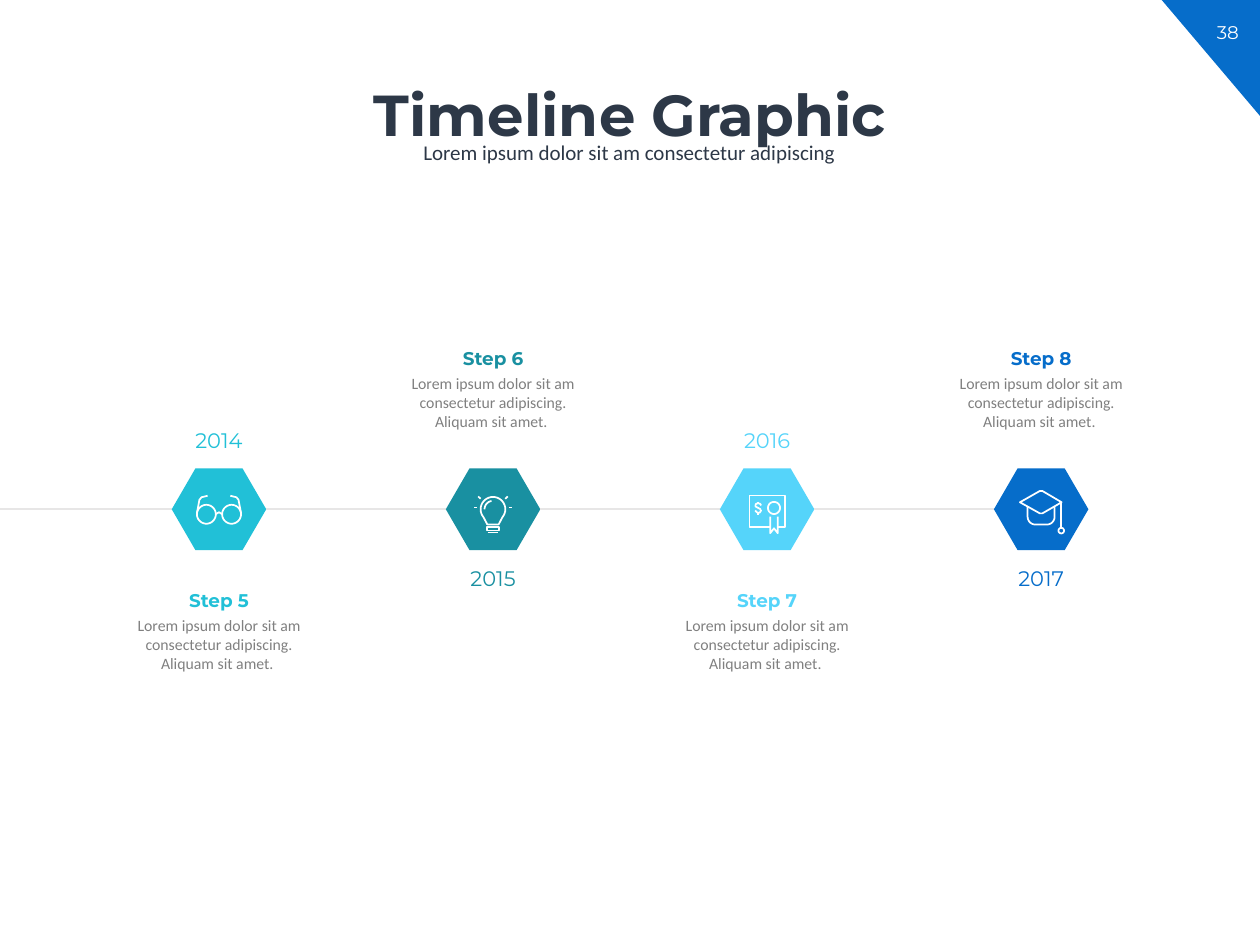
from math import cos, radians, sin
from typing import NamedTuple

from lxml.etree import SubElement
from pptx import Presentation
from pptx.dml.color import RGBColor
from pptx.enum.shapes import MSO_CONNECTOR as Connector, MSO_SHAPE as Preset
from pptx.enum.text import MSO_ANCHOR as Anchor, MSO_AUTO_SIZE as AutoSize, PP_ALIGN as Align
from pptx.oxml.ns import qn
from pptx.util import Inches, Pt

COLORS = {
    "navy": "2D3847", "blue": "066DCA", "cyan": "21C0D7", "teal": "1990A1",
    "sky": "55D4FA", "grey": "808080", "rule": "E7E6E6", "white": "FFFFFF",
}
SLIDE_WIDTH, SLIDE_HEIGHT = Inches(10), Inches(7.5)
COLUMN, ROW = SLIDE_WIDTH / 100, SLIDE_HEIGHT / 75
FIRST_CENTER, PITCH, AXIS = 17.38, 21.75, 40.42
HEX_WIDTH, HEX_HEIGHT = 7.5, 6.5
BLURB = "Lorem ipsum dolor sit am consectetur adipiscing. Aliquam sit amet. "

Point = tuple[float, float]


class Box(NamedTuple):
    left: float
    top: float
    width: float
    height: float

    def emu(self) -> tuple[int, int, int, int]:
        return (round(self.left * COLUMN), round(self.top * ROW),
                round(self.width * COLUMN), round(self.height * ROW))


class Style(NamedTuple):
    font: str
    size: float
    color: str
    bold: bool = False


class Stroke(NamedTuple):
    points: list[Point]
    closed: bool = False


class Step(NamedTuple):
    year: str
    label: str
    color: str
    text_below: bool
    icon: list[Stroke]


def rgb(color: str) -> RGBColor:
    return RGBColor.from_string(COLORS[color])


def arc(x: float, y: float, radius: float, start: int, end: int) -> list[Point]:
    return [(x + radius * cos(radians(a)), y + radius * sin(radians(a)))
            for a in range(start, end + 1, 10)]


def ring(x: float, y: float, radius: float) -> Stroke:
    return Stroke(arc(x, y, radius, 0, 350), True)


def mirrored(points: list[Point]) -> list[Stroke]:
    return [Stroke([(side * x, y) for x, y in points]) for side in (-1, 1)]


GLASSES = [
    ring(-1, 0.4, 0.75), ring(1, 0.4, 0.75),
    Stroke([(-0.27, 0.4), (0, 0.24), (0.27, 0.4)]),
    *mirrored([(1.75, 0.3), (1.55, -0.75), (1.38, -0.95), (0.9, -1.07)]),
]
BULB = [
    Stroke([(-0.45, 1.2), *arc(0, 0, 0.98, 140, 400), (0.45, 1.2)], True),
    Stroke(arc(0, 0, 0.67, 180, 260)),
    Stroke([(-0.5, 1.4), (0.5, 1.4), (0.5, 1.68), (-0.5, 1.68)], True),
    Stroke([(-0.42, 1.85), (0.42, 1.85)]),
    *mirrored([(1.25, -0.15), (1.5, -0.15)]),
    *mirrored([(0.98, -0.83), (1.17, -1.02)]),
]
CERTIFICATE = [
    Stroke([(0.25, 1.4), (-1.4, 1.4), (-1.4, -1.1), (1.4, -1.1),
            (1.4, 1.4), (0.85, 1.4)]),
    ring(0.55, -0.1, 0.48),
    Stroke([(0.25, 0.58), (0.25, 1.9), (0.55, 1.52), (0.85, 1.9), (0.85, 0.58)]),
    Stroke([(-0.47, -0.3), (-0.55, -0.43), (-0.72, -0.48), (-0.9, -0.4),
            (-0.92, -0.22), (-0.55, -0.02), (-0.48, 0.12), (-0.58, 0.27),
            (-0.75, 0.29), (-0.95, 0.1)]),
    Stroke([(-0.72, -0.6), (-0.72, -0.48)]),
    Stroke([(-0.72, 0.29), (-0.72, 0.42)]),
]
GRADUATION_CAP = [
    Stroke([(-1.68, -0.55), (-0.1, -1.45), (0.1, -1.45), (1.63, -0.55),
            (0.1, 0.33), (-0.1, 0.33)], True),
    Stroke([(-1.07, -0.2), *reversed(arc(-0.45, 0.6, 0.62, 90, 180)),
            *reversed(arc(0.45, 0.6, 0.62, 0, 90)), (1.07, -0.2)]),
    Stroke([(1.6, -0.55), (1.6, 1.48)]),
    ring(1.6, 1.7, 0.22),
]
STEPS = [
    Step("2014", "Step 5", "cyan", True, GLASSES),
    Step("2015", "Step 6", "teal", False, BULB),
    Step("2016", "Step 7", "sky", True, CERTIFICATE),
    Step("2017", "Step 8", "blue", False, GRADUATION_CAP),
]


def write(frame, text: str, style: Style):
    frame.text = text
    line = frame.paragraphs[0]
    line.alignment = Align.CENTER
    line.font.name, line.font.size = style.font, Pt(style.size)
    line.font.bold = style.bold
    line.font.color.rgb = rgb(style.color)
    return line


def add_text(slide, box: Box, text: str, style: Style, wrap: bool = True) -> None:
    frame = slide.shapes.add_textbox(*box.emu()).text_frame
    frame.word_wrap = wrap
    frame.auto_size = AutoSize.SHAPE_TO_FIT_TEXT
    write(frame, text, style)


def add_solid(slide, preset: Preset, box: Box, color: str):
    solid = slide.shapes.add_shape(preset, *box.emu())
    solid.shadow.inherit = False
    solid.fill.solid()
    solid.fill.fore_color.rgb = rgb(color)
    solid.line.fill.background()
    return solid


def add_rule(slide, start: float, end: float) -> None:
    y = round(AXIS * ROW)
    rule = slide.shapes.add_connector(
        Connector.STRAIGHT, round(start * COLUMN), y, round(end * COLUMN), y)
    rule.line.color.rgb = rgb("rule")
    rule.line.width = Pt(1)
    SubElement(rule._element.spPr, qn("a:effectLst"))


def add_icon(slide, center: float, icon: list[Stroke]) -> None:
    builder = None
    for stroke in icon:
        start, *rest = [(round((center + x) * COLUMN), round((AXIS + y) * ROW))
                        for x, y in stroke.points]
        if builder is None:
            builder = slide.shapes.build_freeform(*start)
        else:
            builder.move_to(*start)
        builder.add_line_segments(rest, close=stroke.closed)
    outline = builder.convert_to_shape()
    outline.shadow.inherit = False
    outline.fill.background()
    outline.line.color.rgb = rgb("white")
    outline.line.width = Pt(1)


def add_step(slide, center: float, step: Step) -> None:
    add_solid(slide, Preset.HEXAGON, Box(
        center - HEX_WIDTH / 2, AXIS - HEX_HEIGHT / 2, HEX_WIDTH, HEX_HEIGHT),
        step.color).adjustments[0] = 0.29
    label_top, year_top = (46.3, 33.45) if step.text_below else (27.05, 44.4)
    add_text(slide, Box(center - 3.45, label_top, 6.9, 2.8), step.label,
             Style("Montserrat", 10.5, step.color, True), wrap=False)
    add_text(slide, Box(center - 7.5, label_top + 2.1, 15, 7.1), BLURB,
             Style("Calibri", 9, "grey"))
    add_text(slide, Box(center - 3.1, year_top, 6.2, 3), step.year,
             Style("Montserrat", 12, step.color), wrap=False)
    add_icon(slide, center, step.icon)


def fill_placeholder(holder, box: Box, anchor: Anchor, text: str, style: Style):
    holder.left, holder.top, holder.width, holder.height = box.emu()
    frame = holder.text_frame
    frame.auto_size = AutoSize.NONE
    frame.vertical_anchor = anchor
    line = write(frame, text, style)
    line.line_spacing = 0.9
    return line


def main() -> None:
    deck = Presentation()
    deck.slide_width, deck.slide_height = SLIDE_WIDTH, SLIDE_HEIGHT
    slide = deck.slides.add_slide(deck.slide_layouts[0])
    title, subtitle = slide.placeholders
    fill_placeholder(title, Box(5.7, 6.35, 88.6, 7.3), Anchor.TOP,
                     "Timeline Graphic", Style("Montserrat", 33, "navy", True))
    fill_placeholder(subtitle, Box(13.9, 10.9, 72.1, 2.6), Anchor.MIDDLE,
                     "Lorem ipsum dolor sit am consectetur adipiscing",
                     Style("Calibri", 12, "navy")).space_before = Pt(9)

    add_solid(slide, Preset.RIGHT_TRIANGLE, Box(92.2, 0, 7.8, 9.2), "blue").rotation = 180
    add_text(slide, Box(94.9, 1.2, 5.1, 2.8), "38", Style("Montserrat", 10.5, "white"))

    rule_start = 0.0
    for index, step in enumerate(STEPS):
        center = FIRST_CENTER + index * PITCH
        add_rule(slide, rule_start, center - HEX_WIDTH / 2)
        add_step(slide, center, step)
        rule_start = center + HEX_WIDTH / 2
    deck.save("out.pptx")


if __name__ == "__main__":
    main()
